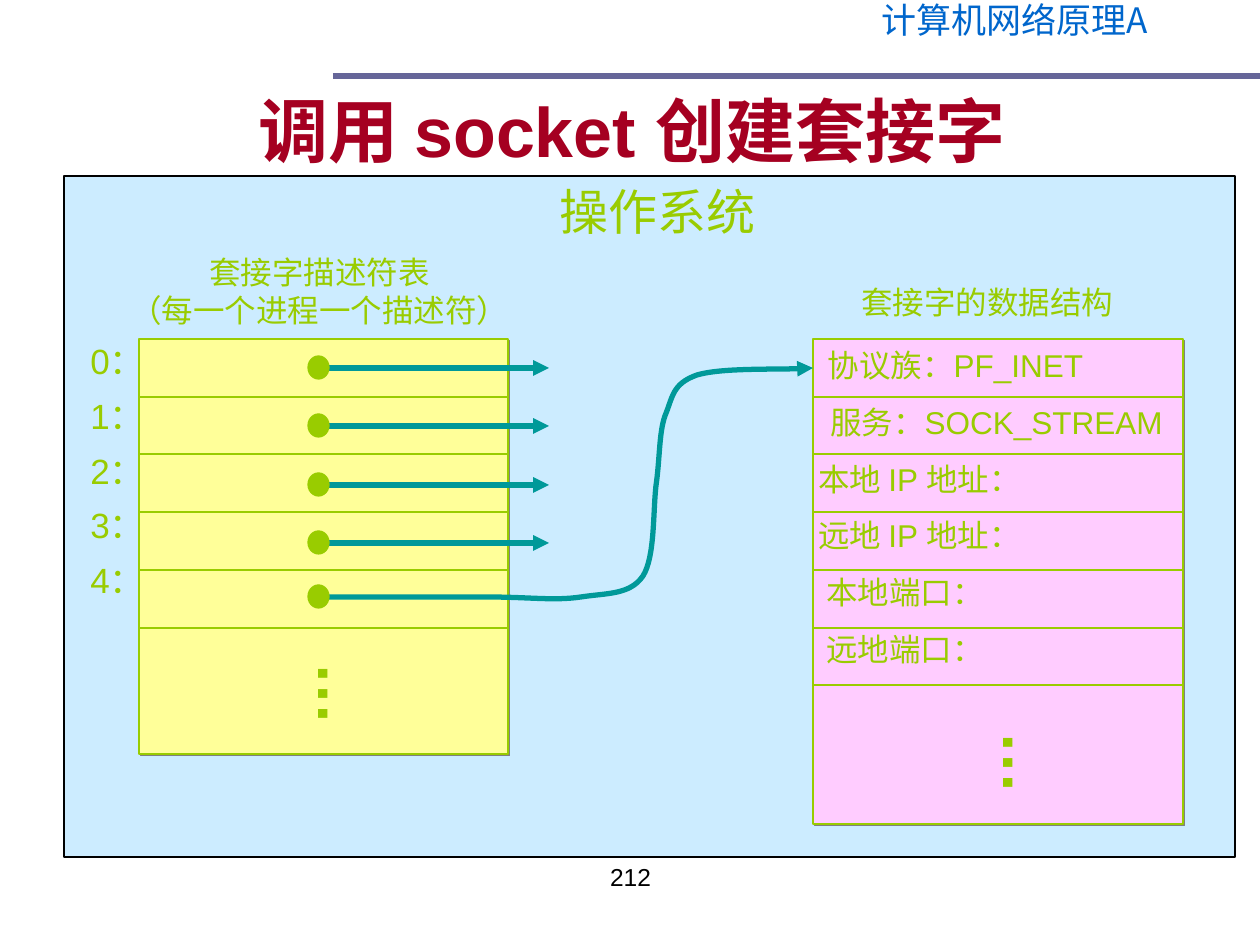
"""Build the slide on creating a socket with the socket call."""
from lxml import etree
from pptx import Presentation
from pptx.dml.color import RGBColor
from pptx.enum.shapes import MSO_CONNECTOR, MSO_SHAPE
from pptx.enum.text import MSO_ANCHOR, PP_ALIGN
from pptx.oxml import parse_xml
from pptx.oxml.ns import nsdecls, qn
from pptx.util import Pt

STRAIGHT = MSO_CONNECTOR.STRAIGHT
RECTANGLE, OVAL = MSO_SHAPE.RECTANGLE, MSO_SHAPE.OVAL
MIDDLE, LEFT, CENTER = MSO_ANCHOR.MIDDLE, PP_ALIGN.LEFT, PP_ALIGN.CENTER
SCALE = 914400 / 126
GREEN, TEAL = "99CC00", "009999"
ARIAL, CHINESE = "Arial", "Noto Sans CJK SC"

PANEL = (64, 176, 1171, 681)
TABLE_TOP, ROW_PITCH = 339, 57.7
TABLES = [
    {"left": 139, "width": 369, "height": 415, "fill": "FFFF99", "rules": 5},
    {"left": 813, "width": 370, "height": 485, "fill": "FFCCFF", "rules": 6},
]
DOT_CENTER, ARROW_END = 319, 549
ARROW_ROWS = [368, 426, 485, 543]
LAST_ROW = 597
CURVE_START = (DOT_CENTER, LAST_ROW)
CURVE_POINTS = [
    (486, 597),
    (530, 597), (554, 601), (581, 597),
    (607, 593), (630, 595), (643, 576),
    (655, 557), (653, 513), (656, 486),
    (660, 459), (659, 433), (665, 416),
    (673, 397), (672, 384), (697, 375),
    (721, 368), (789, 370), (813, 368),
]

FIELD_TOP, FIELD_PITCH = 340, 56.8
FIELDS = [
    ("协议族：PF_INET", 811, 289, CENTER),
    ("服务：SOCK_STREAM", 814, 365, CENTER),
    ("本地 IP 地址：", 806, 243, LEFT),
    ("远地 IP 地址：", 806, 243, LEFT),
    ("本地端口：", 814, 183, LEFT),
    ("远地端口：", 814, 183, LEFT),
]
TEXTS = [
    (["计算机网络原理A"], (869, 0, 377, 55),
     {"size": 20, "color": "0066CC", "font": CHINESE, "align": LEFT, "line_spacing": 0.8}),
    (["套接字描述符表", "（每一个进程一个描述符）"], (118, 247, 403, 88), {}),
    (["0：", "1：", "2：", "3：", "4："], (78, 321, 88, 286),
     {"size": 20, "align": LEFT, "asian": ARIAL, "line_spacing": 1.3}),
    (["操作系统"], (547, 175, 221, 72), {"size": 28}),
    (["套接字的数据结构"], (849, 277, 277, 50), {}),
    (["…"], (300, 650, 88, 88), {"size": 36, "bold": True, "asian": ARIAL, "rotation": 90}),
    (["…"], (985, 719, 88, 88), {"size": 36, "bold": True, "asian": ARIAL, "rotation": 90}),
    (["调用 socket 创建套接字"], (65, 66, 1134, 127),
     {"size": 40, "bold": True, "color": "A50021", "wrap": True, "anchor": MIDDLE}),
    (["212"], (431, 861, 399, 66),
     {"size": 14, "color": "000000", "wrap": True, "line_spacing": 0.8}),
]
DEFAULTS = {"size": 18, "color": GREEN, "font": ARIAL, "asian": CHINESE, "align": CENTER,
            "bold": False, "wrap": False, "line_spacing": None, "rotation": 0, "anchor": None}


def px(length):
    return round(length * SCALE)


def rgb(value):
    return RGBColor.from_string(value)


def set_line(item, color, width):
    item.line.color.rgb = rgb(color)
    item.line.width = Pt(width)


def add_block(page, kind, frame, fill, line, shadow=False):
    block = page.shapes.add_shape(kind, *map(px, frame))
    block.shadow.inherit = False
    block.fill.solid()
    block.fill.fore_color.rgb = rgb(fill)
    set_line(block, line, 0.75)
    if shadow:
        effects = block._element.spPr.find(qn("a:effectLst"))
        effects.append(parse_xml(
            f'<a:outerShdw {nsdecls("a")} blurRad="0" dist="17780" dir="2700000">'
            '<a:srgbClr val="808080"/></a:outerShdw>'))


def add_rule(page, start, end, color, width):
    rule = page.shapes.add_connector(STRAIGHT, *map(px, (*start, *end)))
    set_line(rule, color, width)
    etree.SubElement(rule._element.spPr, qn("a:effectLst"))
    return rule


def add_arrowhead(item):
    etree.SubElement(item.line._get_or_add_ln(), qn("a:tailEnd"), type="triangle")


def add_dot(page, row):
    add_block(page, OVAL, (DOT_CENTER - 11, row - 12, 21, 23), GREEN, GREEN)


def add_curve(page):
    builder = page.shapes.build_freeform(*CURVE_START, scale=SCALE)
    builder.add_line_segments(CURVE_POINTS, close=False)
    curve = builder.convert_to_shape()
    curve.shadow.inherit = False
    curve.fill.background()
    set_line(curve, TEAL, 3)
    add_arrowhead(curve)
    segments = curve._element.xpath(".//a:lnTo")[1:]
    for first in range(0, len(segments), 3):
        bezier = etree.SubElement(segments[first].getparent(), qn("a:cubicBezTo"))
        for segment in segments[first:first + 3]:
            bezier.append(segment[0])
            segment.getparent().remove(segment)


def add_text(page, lines, frame, options):
    style = {**DEFAULTS, **options}
    box = page.shapes.add_textbox(*map(px, frame))
    box.rotation = style["rotation"]
    box.text_frame.word_wrap = style["wrap"]
    box.text_frame.vertical_anchor = style["anchor"]
    box.text_frame.text = "\n".join(lines)
    for para in box.text_frame.paragraphs:
        para.alignment = style["align"]
        para.line_spacing = style["line_spacing"]
        span = para.runs[0]
        span.font.color.rgb = rgb(style["color"])
        values = {"size": Pt(style["size"]), "bold": style["bold"], "name": style["font"]}
        for name, value in values.items():
            setattr(span.font, name, value)
        etree.SubElement(span._r.get_or_add_rPr(), qn("a:ea"), typeface=style["asian"])


def main():
    deck = Presentation()
    deck.slide_width, deck.slide_height = px(1260), px(945)
    page = deck.slides.add_slide(deck.slide_layouts[6])
    add_rule(page, (333, 76), (1260, 76), "666699", 3)
    add_block(page, RECTANGLE, PANEL, "CCECFF", "000000")
    for table in TABLES:
        left, width = table["left"], table["width"]
        frame = (left, TABLE_TOP, width, table["height"])
        add_block(page, RECTANGLE, frame, table["fill"], GREEN, shadow=True)
        for number in range(1, table["rules"] + 1):
            level = round(TABLE_TOP + number * ROW_PITCH)
            add_rule(page, (left, level), (left + width, level), GREEN, 0.75)
    for row in ARROW_ROWS:
        add_arrowhead(add_rule(page, (DOT_CENTER, row), (ARROW_END, row), TEAL, 3))
        add_dot(page, row)
    add_curve(page)
    add_dot(page, LAST_ROW)
    for lines, frame, options in TEXTS:
        add_text(page, lines, frame, options)
    for number, (text, left, width, align) in enumerate(FIELDS):
        top = round(FIELD_TOP + number * FIELD_PITCH)
        add_text(page, [text], (left, top, width, 50), {"align": align})
    deck.save("out.pptx")


if __name__ == "__main__":
    main()
